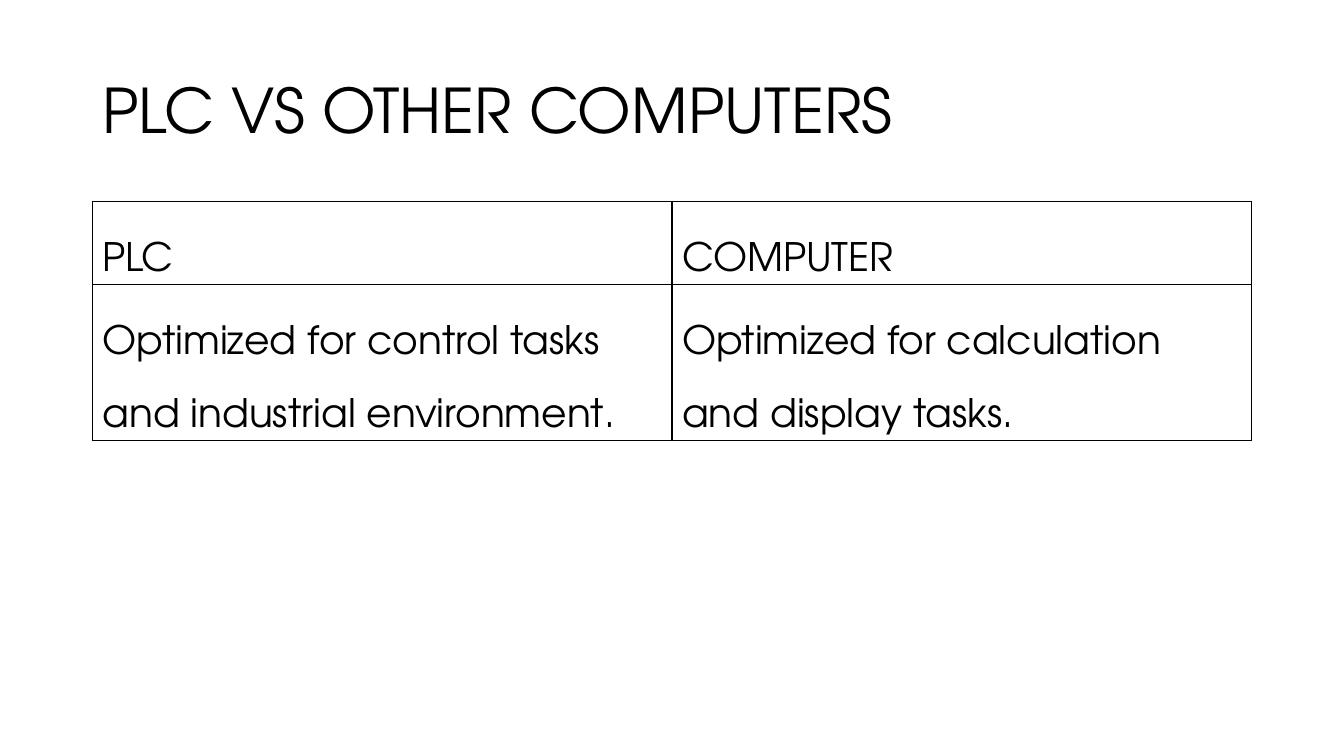
from lxml.etree import SubElement
from pptx import Presentation
from pptx.dml.color import RGBColor
from pptx.enum.text import MSO_ANCHOR, PP_ALIGN
from pptx.oxml.ns import qn
from pptx.util import Pt

COMPARISON = [
    ("PLC", "COMPUTER"),
    ("Optimized for control tasks and industrial environment.",
     "Optimized for calculation and display tasks."),
]


def color(hex_code):
    return RGBColor.from_string(hex_code)


class SlideBuilder:
    font_name = "TeX Gyre Adventor"
    ink = "000000"
    paper = "FFFFFF"
    border_width = 1

    def __init__(self, slide):
        self.slide = slide

    def format_paragraph(self, paragraph, size, line_spacing):
        paragraph.alignment = PP_ALIGN.LEFT
        paragraph.line_spacing = line_spacing
        paragraph.font.name = self.font_name
        paragraph.font.size = Pt(size)
        paragraph.font.bold = False
        paragraph.font.color.rgb = color(self.ink)

    def title(self, text, left, top, width, height):
        heading = self.slide.shapes.title
        heading.left, heading.top = Pt(left), Pt(top)
        heading.width, heading.height = Pt(width), Pt(height)
        heading.text_frame.text = text
        heading.text_frame.vertical_anchor = MSO_ANCHOR.MIDDLE
        self.format_paragraph(heading.text_frame.paragraphs[0], 44, 0.9)

    def border(self, cell):
        # Borders must precede the fill in the cell properties
        properties = cell._tc.get_or_add_tcPr()
        for position, side in enumerate(("a:lnL", "a:lnR", "a:lnT", "a:lnB")):
            line = SubElement(properties, qn(side), w=str(Pt(self.border_width)))
            properties.insert(position, line)
            fill = SubElement(line, qn("a:solidFill"))
            SubElement(fill, qn("a:srgbClr"), val=self.ink)

    def table(self, rows, left, top, width, height, row_height):
        frame = self.slide.shapes.add_table(
            len(rows), len(rows[0]), Pt(left), Pt(top), Pt(width), Pt(height))
        grid = frame.table
        grid.first_row = grid.horz_banding = False
        for row, texts in zip(grid.rows, rows):
            row.height = Pt(row_height)
            for cell, text in zip(row.cells, texts):
                cell.text = text
                cell.fill.solid()
                cell.fill.fore_color.rgb = color(self.paper)
                self.border(cell)
                self.format_paragraph(cell.text_frame.paragraphs[0], 28, 2.0)
        # Rows grow with their text up to the frame height
        frame.height = Pt(height)


def main():
    presentation = Presentation()
    presentation.slide_width, presentation.slide_height = Pt(960), Pt(540)
    title_only = presentation.slide_layouts[5]
    builder = SlideBuilder(presentation.slides.add_slide(title_only))

    # Heading
    builder.title("PLC VS OTHER COMPUTERS", 66, 28.75, 828, 104.4)

    # Comparison table
    builder.table(COMPARISON, 66, 143.75, 828, 195, 29.2)

    presentation.save("out.pptx")


if __name__ == "__main__":
    main()
